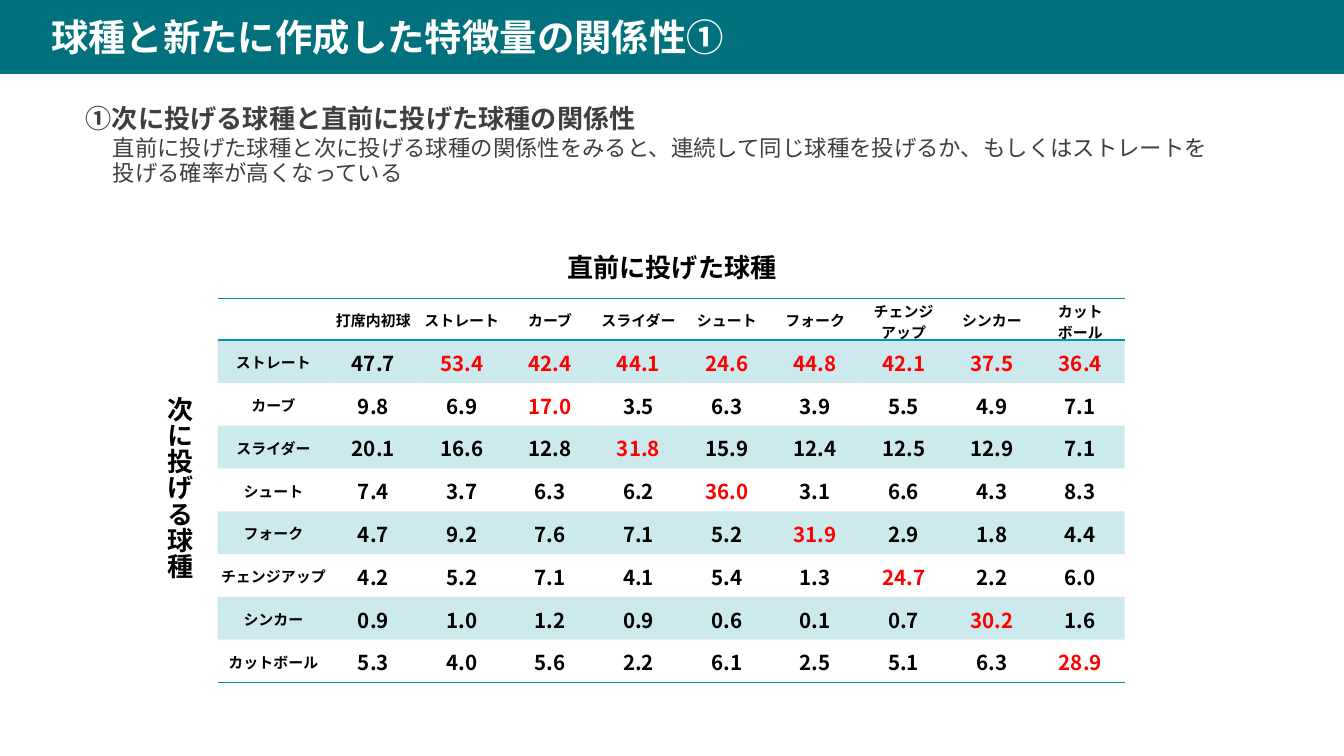
from dataclasses import dataclass
from typing import Optional

from lxml.etree import SubElement
from pptx import Presentation
from pptx.dml.color import RGBColor as Rgb
from pptx.enum.text import MSO_ANCHOR as Anchor, MSO_AUTO_SIZE as AutoSize, PP_ALIGN as Align
from pptx.oxml import parse_xml
from pptx.oxml.ns import nsdecls, qn
from pptx.util import Emu, Inches, Pt


@dataclass(frozen=True)
class TextStyle:
    size: float
    color: str
    bold: bool = True


@dataclass(frozen=True)
class Theme:
    font: str = "Noto Sans CJK JP"
    band: str = "00717D"
    accent: str = "0097A7"
    accent_opacity: int = 20
    rule_width: float = 1
    title: TextStyle = TextStyle(20, "FFFFFF")
    heading: TextStyle = TextStyle(14, "3F3F3F")
    body: TextStyle = TextStyle(12, "3F3F3F", False)
    axis: TextStyle = TextStyle(14, "000000")
    label: TextStyle = TextStyle(8, "000000")
    value: TextStyle = TextStyle(11, "000000")
    high: TextStyle = TextStyle(11, "FF0000")


@dataclass(frozen=True)
class Area:
    left: float
    top: float
    width: float
    height: float

    def lengths(self) -> tuple:
        return tuple(Inches(n) for n in (self.left, self.top, self.width, self.height))


@dataclass(frozen=True)
class AxisTitle:
    text: str
    area: Area
    direction: Optional[str] = None


@dataclass(frozen=True)
class PitchRow:
    name: str
    rates: tuple


THEME = Theme()
TITLE = "球種と新たに作成した特徴量の関係性①"
HEADING = "①次に投げる球種と直前に投げた球種の関係性"
FINDING = (
    "直前に投げた球種と次に投げる球種の関係性をみると、連続して同じ球種を投げるか、もしくはストレートを",
    "投げる確率が高くなっている",
)
AXIS_TITLES = (
    AxisTitle("直前に投げた球種", Area(3.85, 1.82, 2.3, 0.34)),
    AxisTitle("次に投げる球種", Area(1.06, 2.85, 0.44, 1.6), "eaVert"),
)
PREVIOUS_PITCHES = ("", "打席内初球", "ストレート", "カーブ", "スライダー", "シュート",
                    "フォーク", "チェンジ\nアップ", "シンカー", "カット\nボール")
NEXT_PITCHES = (
    PitchRow("ストレート", (47.7, 53.4, 42.4, 44.1, 24.6, 44.8, 42.1, 37.5, 36.4)),
    PitchRow("カーブ", (9.8, 6.9, 17.0, 3.5, 6.3, 3.9, 5.5, 4.9, 7.1)),
    PitchRow("スライダー", (20.1, 16.6, 12.8, 31.8, 15.9, 12.4, 12.5, 12.9, 7.1)),
    PitchRow("シュート", (7.4, 3.7, 6.3, 6.2, 36.0, 3.1, 6.6, 4.3, 8.3)),
    PitchRow("フォーク", (4.7, 9.2, 7.6, 7.1, 5.2, 31.9, 2.9, 1.8, 4.4)),
    PitchRow("チェンジアップ", (4.2, 5.2, 7.1, 4.1, 5.4, 1.3, 24.7, 2.2, 6.0)),
    PitchRow("シンカー", (0.9, 1.0, 1.2, 0.9, 0.6, 0.1, 0.7, 30.2, 1.6)),
    PitchRow("カットボール", (5.3, 4.0, 5.6, 2.2, 6.1, 2.5, 5.1, 6.3, 28.9)),
)
TABLE_AREA = Area(1.62, 2.22, 6.75, 2.85)
LABEL_WIDTH, HEADER_HEIGHT = 0.83, 0.3
PLAIN_TABLE_STYLE = "{2D5ABB26-0587-4C30-8999-92F81FD0307C}"


def apply_format(target, values: dict) -> None:
    for name, value in values.items():
        setattr(target, name, value)


def add_span(para, text: str, style: TextStyle) -> None:
    span = para.add_run()
    span.text = text
    apply_format(span.font, {"name": THEME.font, "size": Pt(style.size), "bold": style.bold})
    span.font.color.rgb = Rgb.from_string(style.color)
    SubElement(span.font._element, qn("a:ea"), typeface=THEME.font)


def add_title(slide) -> None:
    band = slide.shapes.title
    apply_format(band, dict(zip(("left", "top", "width", "height"), Area(0, 0, 10, 0.55).lengths())))
    band.fill.solid()
    band.fill.fore_color.rgb = Rgb.from_string(THEME.band)
    frame = band.text_frame
    apply_format(frame, {"vertical_anchor": Anchor.MIDDLE, "auto_size": AutoSize.NONE,
                         "margin_left": Inches(0.38)})
    para = frame.paragraphs[0]
    para.alignment = Align.LEFT
    add_span(para, TITLE, THEME.title)


def add_finding(slide) -> None:
    frame = slide.shapes.add_textbox(*Area(0.54, 0.62, 8.96, 0.93).lengths()).text_frame
    apply_format(frame, {"word_wrap": True, "vertical_anchor": Anchor.MIDDLE})
    heading = frame.paragraphs[0]
    heading.line_spacing = 0.9
    add_span(heading, HEADING, THEME.heading)
    body = frame.add_paragraph()
    apply_format(body, {"line_spacing": 0.9, "space_before": Pt(2)})
    body._p.get_or_add_pPr().set("marL", str(Inches(0.2)))
    for index, line in enumerate(FINDING):
        if index:
            body.add_line_break()
        add_span(body, line, THEME.body)


def add_axis_title(slide, axis: AxisTitle) -> None:
    frame = slide.shapes.add_textbox(*axis.area.lengths()).text_frame
    apply_format(frame, {"word_wrap": True, "auto_size": AutoSize.SHAPE_TO_FIT_TEXT})
    if axis.direction:
        frame._txBody.bodyPr.set("vert", axis.direction)
    para = frame.paragraphs[0]
    para.alignment = Align.CENTER
    add_span(para, axis.text, THEME.axis)


def write_cell(cell, text: str, style: TextStyle) -> None:
    margin = Inches(0.01)
    apply_format(cell, {"vertical_anchor": Anchor.MIDDLE, "margin_left": margin,
                        "margin_right": margin, "margin_top": margin, "margin_bottom": 0})
    frame = cell.text_frame
    for index, line in enumerate(text.split("\n")):
        para = frame.add_paragraph() if index else frame.paragraphs[0]
        para.alignment = Align.CENTER
        add_span(para, line, style)


def paint_cell(cell, shaded: bool, rules: tuple) -> None:
    """Fill the cell and draw its rules, given as tag names in schema order."""
    if shaded:
        cell.fill.solid()
        cell.fill.fore_color.rgb = Rgb.from_string(THEME.accent)
        color = next(cell._tc.tcPr.iter(qn("a:srgbClr")))
        SubElement(color, qn("a:alpha"), val=str(THEME.accent_opacity * 1000))
    else:
        cell.fill.background()
    for position, tag in enumerate(rules):
        cell._tc.tcPr.insert(position, parse_xml(
            f'<a:{tag} {nsdecls("a")} w="{Pt(THEME.rule_width)}"><a:solidFill>'
            f'<a:srgbClr val="{THEME.accent}"/></a:solidFill></a:{tag}>'))


def value_style(row: int, column: int) -> TextStyle:
    """Highlight a repeated pitch, and a first-listed pitch after any earlier one."""
    repeated = column == row + 1
    return THEME.high if repeated or (row == 1 and column > 1) else THEME.value


def add_pitch_table(slide) -> None:
    rows, columns = len(NEXT_PITCHES) + 1, len(PREVIOUS_PITCHES)
    table_frame = slide.shapes.add_table(rows, columns, *TABLE_AREA.lengths())
    table = table_frame.table
    apply_format(table, {"first_row": False, "horz_banding": False})
    next(table_frame._element.iter(qn("a:tableStyleId"))).text = PLAIN_TABLE_STYLE
    value_width = (TABLE_AREA.width - LABEL_WIDTH) / (columns - 1)
    value_height = (TABLE_AREA.height - HEADER_HEIGHT) / (rows - 1)
    for index, column in enumerate(table.columns):
        column.width = Inches(value_width if index else LABEL_WIDTH)
    for index, row in enumerate(table.rows):
        row.height = Inches(value_height if index else HEADER_HEIGHT)

    rules = {0: ("lnT", "lnB"), rows - 1: ("lnB",)}
    lines = [PREVIOUS_PITCHES]
    lines += [(pitch.name, *(f"{rate:.1f}" for rate in pitch.rates)) for pitch in NEXT_PITCHES]
    for row, line in enumerate(lines):
        for column, text in enumerate(line):
            cell = table.cell(row, column)
            is_label = row == 0 or column == 0
            write_cell(cell, text, THEME.label if is_label else value_style(row, column))
            paint_cell(cell, row % 2 == 1, rules.get(row, ()))


def main() -> None:
    deck = Presentation()
    apply_format(deck, {"slide_width": Inches(10), "slide_height": Emu(5143500)})
    slide = deck.slides.add_slide(deck.slide_layouts[5])
    add_title(slide)
    add_finding(slide)
    add_pitch_table(slide)
    for axis in AXIS_TITLES:
        add_axis_title(slide, axis)
    deck.save("out.pptx")


if __name__ == "__main__":
    main()
